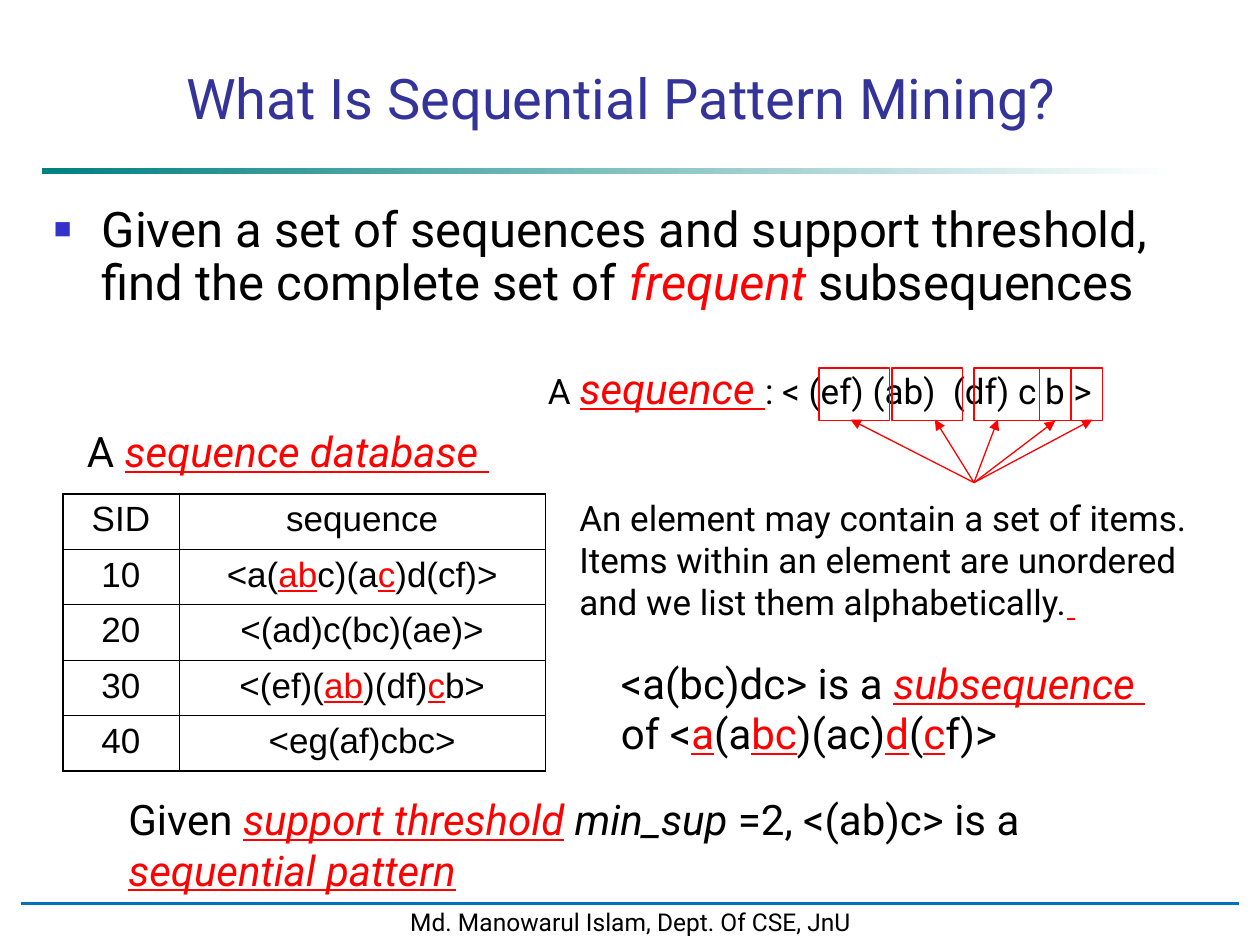
from lxml import etree
from pptx import Presentation
from pptx.dml.color import RGBColor
from pptx.enum.shapes import MSO_CONNECTOR, MSO_SHAPE
from pptx.enum.text import MSO_ANCHOR, MSO_AUTO_SIZE, PP_ALIGN
from pptx.oxml.ns import qn
from pptx.util import Inches, Pt

RECTANGLE = MSO_SHAPE.RECTANGLE
STRAIGHT = MSO_CONNECTOR.STRAIGHT
CENTER = PP_ALIGN.CENTER
LEFT = PP_ALIGN.LEFT
BOTTOM_SIDE = 2
TITLE_ONLY = 5

BLACK, RED, WHITE = "000000", "FF0000", "FFFFFF"


def rgb(value):
    return RGBColor.from_string(value)


def box(*lengths):
    return [Inches(length) for length in lengths]


def add_element(parent, tag, **attributes):
    return etree.SubElement(parent, qn(tag), attributes)


class SlideBuilder:
    """Holds the style and the current slide.

    A run is (text, marks) or (text, marks, size): r red, i italic, u underlined.
    """

    font = "Roboto"
    table_font = "Arial"

    def __init__(self, slide):
        self.slide = slide
        self.shapes = slide.shapes

    def runs(self, paragraph, parts, size, color=BLACK, font=None):
        for text, marks, *own_size in parts:
            run = paragraph.add_run()
            run.text = text
            run.font.name = font or self.font
            run.font.size = Pt(own_size[0] if own_size else size)
            run.font.color.rgb = rgb(RED if "r" in marks else color)
            run.font.italic = "i" in marks
            run.font.underline = "u" in marks

    def title(self, text, place, size, color):
        title = self.shapes.title
        title.left, title.top, title.width, title.height = box(*place)
        frame = title.text_frame
        frame.auto_size = MSO_AUTO_SIZE.NONE
        frame.vertical_anchor = MSO_ANCHOR.BOTTOM
        frame.paragraphs[0].alignment = CENTER
        self.runs(frame.paragraphs[0], [(text, "")], size, color)

    def text(self, place, paragraphs, size, wrap=True, grow=True):
        frame = self.shapes.add_textbox(*box(*place)).text_frame
        frame.word_wrap = wrap
        frame.auto_size = MSO_AUTO_SIZE.SHAPE_TO_FIT_TEXT if grow else MSO_AUTO_SIZE.NONE
        for index, parts in enumerate(paragraphs):
            paragraph = frame.add_paragraph() if index else frame.paragraphs[0]
            paragraph.alignment = LEFT
            self.runs(paragraph, parts, size)
        return frame

    def bullet(self, paragraph, indent, color, percent, char):
        paragraph.line_spacing = 0.9
        properties = paragraph._p.get_or_add_pPr()
        properties.set("marL", str(Inches(indent)))
        properties.set("indent", str(-Inches(indent)))
        bullet_color = add_element(properties, "a:buClr")
        add_element(bullet_color, "a:srgbClr", val=color)
        add_element(properties, "a:buSzPct", val=str(percent * 1000))
        add_element(properties, "a:buFont", typeface=self.table_font)
        add_element(properties, "a:buChar", char=char)

    def rectangle(self, place, fill=None, line=None, width=0.75):
        shape = self.shapes.add_shape(RECTANGLE, *box(*place))
        shape.shadow.inherit = False
        if fill:
            shape.fill.solid()
            shape.fill.fore_color.rgb = rgb(fill)
        else:
            shape.fill.background()
        if line:
            shape.line.color.rgb = rgb(line)
            shape.line.width = Pt(width)
        else:
            shape.line.fill.background()
        return shape

    def gradient_bar(self, place, colors):
        fill = self.rectangle(place).fill
        fill.gradient()
        fill.gradient_angle = 0
        for stop, color in zip(fill.gradient_stops, colors):
            stop.color.rgb = rgb(color)

    def line(self, start, end, color, width=0.75, arrow=False):
        connector = self.shapes.add_connector(STRAIGHT, *box(*start, *end))
        connector.line.color.rgb = rgb(color)
        connector.line.width = Pt(width)
        if arrow:
            add_element(connector.line._get_or_add_ln(), "a:tailEnd", type="triangle")
        add_element(connector._element.spPr, "a:effectLst")
        return connector

    def borders(self, cell, widths):
        properties = cell._tc.get_or_add_tcPr()
        for side, width in zip("LRTB", widths):
            border = add_element(properties, f"a:ln{side}", w=str(Pt(width)))
            add_element(add_element(border, "a:solidFill"), "a:srgbClr", val=BLACK)

    def table(self, left, top, column_widths, row_height, rows, size, inner, outer):
        last_row, last_column = len(rows) - 1, len(column_widths) - 1
        place = (left, top, sum(column_widths), row_height * len(rows))
        table = self.shapes.add_table(len(rows), len(column_widths), *box(*place)).table
        table.first_row = table.horz_banding = False
        for column, width in zip(table.columns, column_widths):
            column.width = Inches(width)
        for r, row in enumerate(rows):
            table.rows[r].height = Inches(row_height)
            for c, parts in enumerate(row):
                cell = table.cell(r, c)
                at_edge = (c == 0, c == last_column, r == 0, r == last_row)
                self.borders(cell, [outer if edge else inner for edge in at_edge])
                cell.fill.background()
                paragraph = cell.text_frame.paragraphs[0]
                paragraph.alignment = CENTER
                self.runs(paragraph, parts, size, font=self.table_font)


def main():
    deck = Presentation()
    deck.slide_width, deck.slide_height = box(10, 7.5)
    page = SlideBuilder(deck.slides.add_slide(deck.slide_layouts[TITLE_ONLY]))

    # Frame: bar under the title, footer and its rule
    page.gradient_bar((0.33, 1.33, 9, 0.05), ("008080", WHITE))
    footer = page.rectangle((0.17, 7.15, 9.67, 0.33), WHITE, WHITE, 2).text_frame
    footer.word_wrap = False
    footer.paragraphs[0].alignment = CENTER
    page.runs(footer.paragraphs[0], [("Md. Manowarul Islam, Dept. Of CSE, JnU", "")], 14)
    page.line((0.17, 7.17), (9.83, 7.17), "0070C0", 1.75)

    # Title and problem statement
    page.title("What Is Sequential Pattern Mining?", (0.67, 0.42, 8.52, 0.67), 32, "333399")
    statement = page.text((0.33, 1.58, 9.17, 5.5), [[
        ("Given a set of sequences and support threshold, find the complete set of ", ""),
        ("frequent ", "ri"), ("subsequences", "")]], 28, grow=False)
    page.bullet(statement.paragraphs[0], 0.38, "3333CC", 60, "■")

    # Definitions
    page.text((0.59, 3.33, 3.42, 0.5),
              [[("A ", ""), ("sequence database ", "riu")]], 24, wrap=False)
    page.text((4.25, 2.83, 5.08, 0.5), [[
        ("A ", ""), ("sequence ", "riu", 24), (": < (ef) (ab)  (df) c b >", "")]], 20)
    page.text((4.5, 3.89, 5.34, 1.1), [
        [("An element may contain a set of items.", "")],
        [("Items within an element are unordered", "")],
        [("and we list them alphabetically.", ""), (" ", "riu")]], 20, wrap=False)

    # Elements of the sequence, each pointed at from the explanation
    elements = [page.rectangle((left, 2.92, width, 0.42), line=RED)
                for left, width in ((6.5, 0.56), (7.08, 0.56), (7.73, 0.52),
                                    (8.25, 0.25), (8.5, 0.25))]
    pointers = [page.line((7.73, 3.83), (tip, 3.33), RED, arrow=True)
                for tip in (6.75, 7.42, 7.92, 8.38, 8.67)]
    pointers[3].end_connect(elements[3], BOTTOM_SIDE)

    # Subsequence and sequential pattern
    page.text((4.83, 5.17, 4.68, 0.9), [[
        ("<a(bc)dc> is a ", ""), ("subsequence ", "riu"), (" ", "r"), ("of <", ""),
        ("a", "ru"), ("(a", ""), ("bc", "ru"), (")(ac)", ""), ("d", "ru"),
        ("(", ""), ("c", "ru"), ("f)>", "")]], 24)
    page.text((0.92, 6.25, 8.42, 0.9), [[
        ("Given ", ""), ("support threshold", "riu"), (" ", "ri"), ("min_sup ", "i"),
        ("=2, <(ab)c> is a ", ""), ("sequential pattern", "riu")]], 24)

    # Sequence database
    database = [
        ("SID", [("sequence", "")]),
        ("10", [("<a(", ""), ("ab", "ru"), ("c)(a", ""), ("c", "ru"), (")d(cf)>", "")]),
        ("20", [("<(ad)c(bc)(ae)>", "")]),
        ("30", [("<(ef)(", ""), ("ab", "ru"), (")(df)", ""), ("c", "ru"), ("b>", "")]),
        ("40", [("<eg(af)cbc>", "")]),
    ]
    rows = [([(sid, "")], sequence) for sid, sequence in database]
    page.table(0.5, 3.92, (0.92, 2.91), 0.44, rows, 20, inner=0.45, outer=1.08)

    deck.save("out.pptx")


if __name__ == "__main__":
    main()
